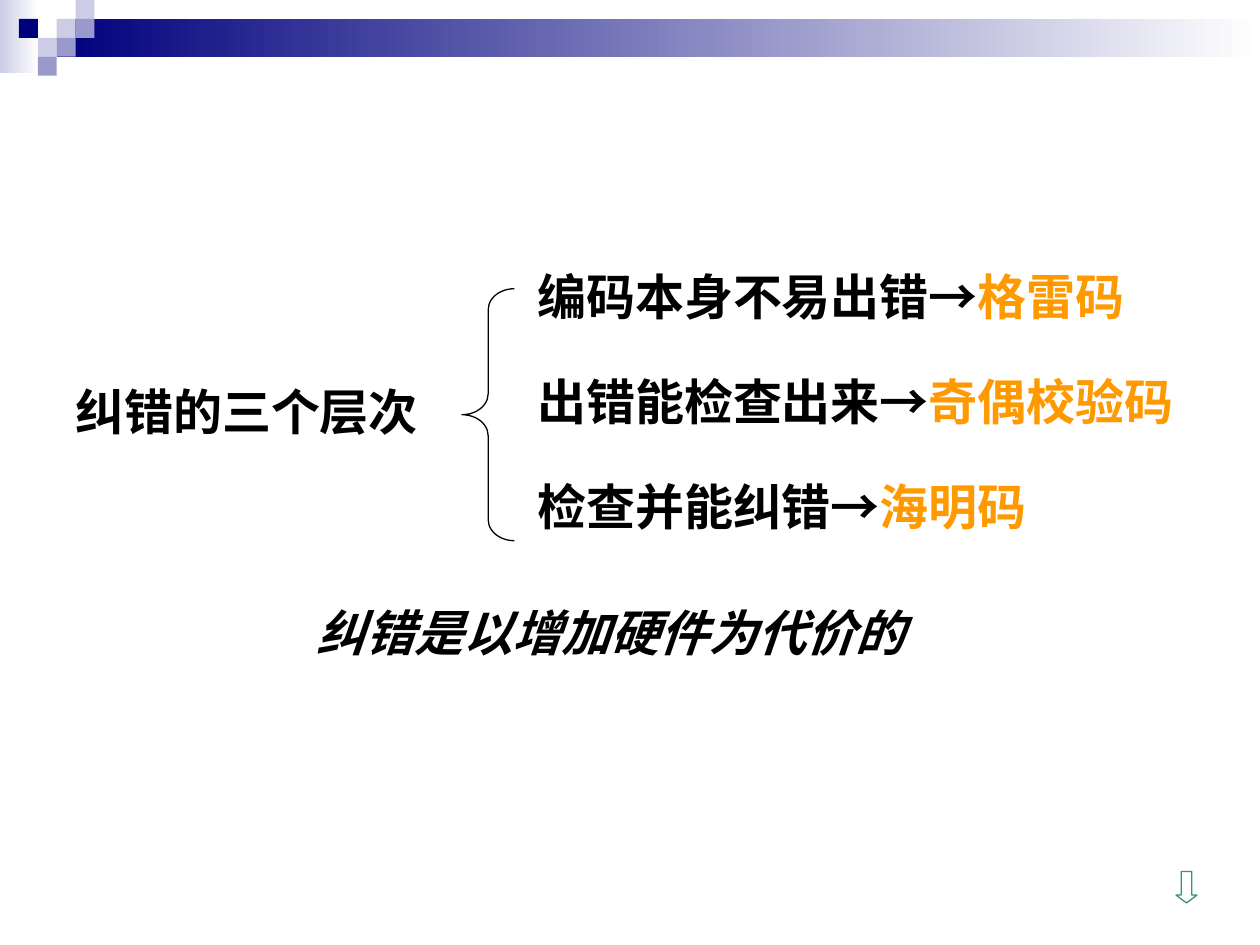
from pptx import Presentation
from pptx.dml.color import RGBColor
from pptx.enum.shapes import MSO_SHAPE
from pptx.enum.text import MSO_ANCHOR
from pptx.util import Pt

RECTANGLE = MSO_SHAPE.RECTANGLE
LEFT_BRACE = MSO_SHAPE.LEFT_BRACE
DOWN_ARROW = MSO_SHAPE.DOWN_ARROW
MIDDLE = MSO_ANCHOR.MIDDLE

NAVY, LILAC, VIOLET = "00007D", "CCCCE6", "9999CC"
WHITE, BLACK, ORANGE, GREEN = "FFFFFF", "000000", "FF9900", "339966"


def color(value):
    return RGBColor.from_string(value)


class SlideBuilder:
    font = "Times New Roman"
    size = 28
    line_width = 0.75

    def __init__(self, slide):
        self.slide = slide

    def shape(self, kind, left, top, width, height):
        shape = self.slide.shapes.add_shape(
            kind, Pt(left), Pt(top), Pt(width), Pt(height))
        shape.shadow.inherit = False
        return shape

    def block(self, left, top, width, height, fill):
        block = self.shape(RECTANGLE, left, top, width, height)
        block.fill.solid()
        block.fill.fore_color.rgb = color(fill)
        block.line.fill.background()
        return block

    def fading_block(self, left, top, width, height, start):
        block = self.block(left, top, width, height, start)
        block.fill.gradient()
        block.fill.gradient_angle = 0
        for stop, value, position in zip(
                block.fill.gradient_stops, (start, WHITE), (0, 1)):
            stop.color.rgb = color(value)
            stop.position = position

    def outline(self, kind, left, top, width, height, line, adjustments):
        shape = self.shape(kind, left, top, width, height)
        shape.fill.background()
        shape.line.color.rgb = color(line)
        shape.line.width = Pt(self.line_width)
        for index, value in enumerate(adjustments):
            shape.adjustments[index] = value

    def text(self, left, top, width, spans, italic=False):
        box = self.slide.shapes.add_textbox(
            Pt(left), Pt(top), Pt(width), Pt(36))
        frame = box.text_frame
        frame.word_wrap = True
        frame.vertical_anchor = MIDDLE
        para = frame.paragraphs[0]
        para.line_spacing = 0.9
        for words, value in spans:
            span = para.add_run()
            span.text = words
            span.font.name = self.font
            span.font.size = Pt(self.size)
            span.font.bold = True
            span.font.italic = italic
            span.font.color.rgb = color(value)


def main():
    deck = Presentation()
    deck.slide_width, deck.slide_height = Pt(720), Pt(540)
    page = SlideBuilder(deck.slides.add_slide(deck.slide_layouts[6]))

    # Header bands and checkered squares
    page.fading_block(0, 0, 22, 42, LILAC)
    page.fading_block(32.4, 10.8, 687.6, 21.6, NAVY)
    cell = 10.8
    squares = [(3, 1, LILAC), (4, 0, LILAC), (4, 1, VIOLET), (2, 2, LILAC),
               (1, 1, NAVY), (3, 2, VIOLET), (2, 3, VIOLET)]
    for column, row, fill in squares:
        page.block(column * cell, row * cell, cell, cell, fill)

    # Topic and brace
    page.text(36, 219, 216, [("纠错的三个层次", BLACK)])
    page.outline(LEFT_BRACE, 264, 165, 30, 144, BLACK, (0.4, 0.5))

    # Three levels, each with its code
    levels = [("编码本身不易出错→", "格雷码"),
              ("出错能检查出来→", "奇偶校验码"),
              ("检查并能纠错→", "海明码")]
    for index, (level, code) in enumerate(levels):
        page.text(300, 153 + 60 * index, 402, [(level, BLACK), (code, ORANGE)])

    # Conclusion and next-page arrow
    page.text(174, 345, 372, [("纠错是以增加硬件为代价的", BLACK)], italic=True)
    page.outline(DOWN_ARROW, 672, 498, 12, 18, GREEN, (0.5, 0.375))

    deck.save("out.pptx")


if __name__ == "__main__":
    main()
